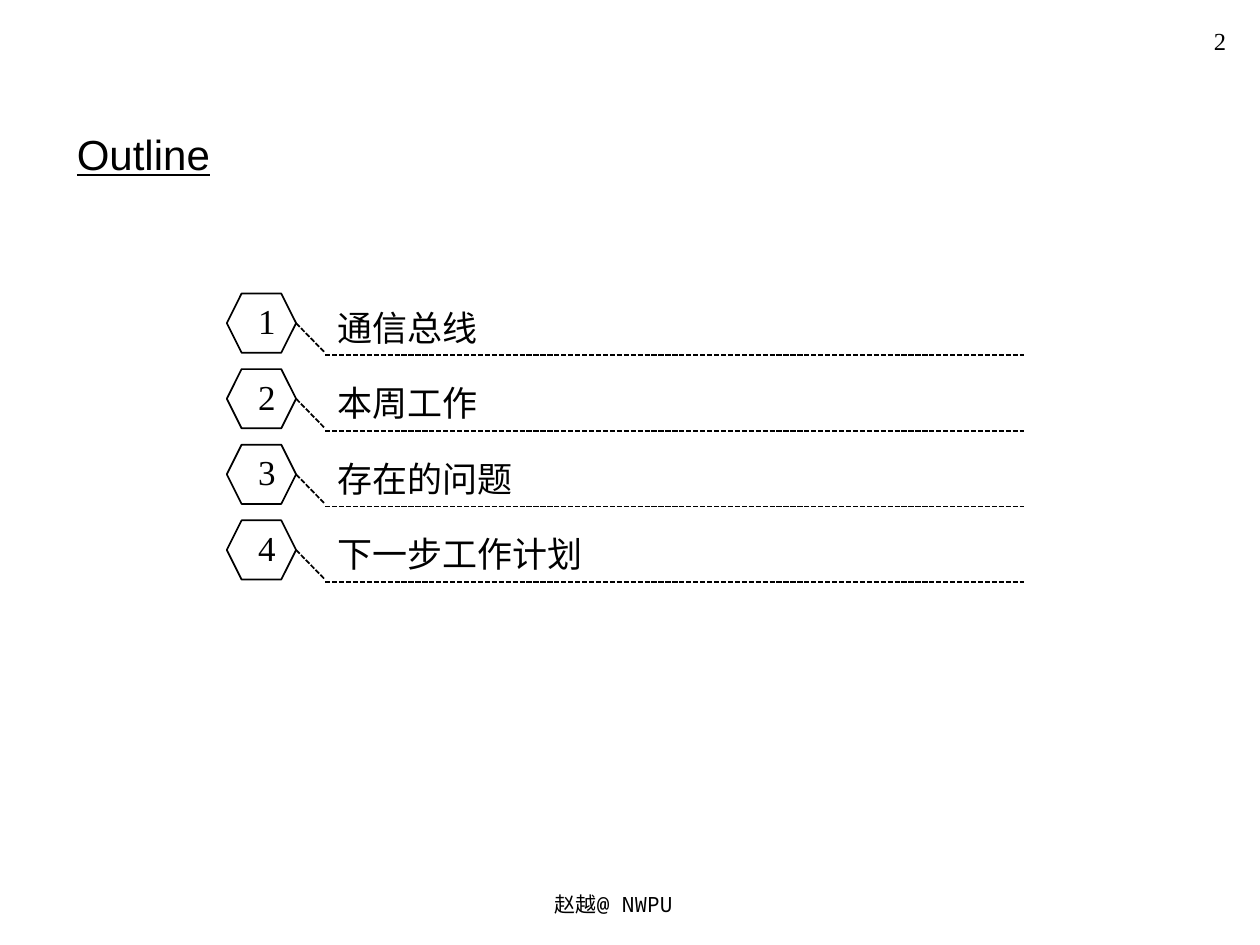
from lxml import etree
from pptx import Presentation
from pptx.dml.color import RGBColor
from pptx.enum.dml import MSO_LINE
from pptx.enum.shapes import MSO_CONNECTOR, MSO_SHAPE
from pptx.enum.text import MSO_ANCHOR, MSO_AUTO_SIZE, PP_ALIGN
from pptx.oxml.ns import qn
from pptx.util import Inches, Pt

# Content
TITLE = "Outline"
FOOTER = "赵越@ NWPU "
PAGE = "2"
MONO, SANS, SERIF = "Noto Sans Mono", "Noto Sans CJK SC", "Times New Roman"
TOPICS = [
    ("通信总线", MONO),
    ("本周工作", MONO),
    ("存在的问题", SANS),
    ("下一步工作计划", SANS),
]
COLORS = {"ink": "000000", "paper": "FFFFFF"}
INK = RGBColor.from_string(COLORS["ink"])

# Layout in inches
TOP, PITCH = 2.33, 0.6
HEX_LEFT, HEX_W, HEX_H = 1.8, 0.55, 0.47
RULE_LEFT, RULE_RIGHT = 2.58, 8.13


def style(shape, text, font, size, align=PP_ALIGN.LEFT):
    frame = shape.text_frame
    frame.text = text
    frame.word_wrap = True
    para = frame.paragraphs[0]
    para.alignment = align
    run = para.runs[0]
    run.font.name = font
    run.font.size = Pt(size)
    run.font.color.rgb = INK
    east = etree.SubElement(run.font._element, qn("a:ea"))
    east.set("typeface", SANS)
    return run


def label(box, text, font, size, align=PP_ALIGN.LEFT, grow=True):
    shape = slide.shapes.add_textbox(*map(Inches, box))
    style(shape, text, font, size, align)
    if grow:
        shape.text_frame.auto_size = MSO_AUTO_SIZE.SHAPE_TO_FIT_TEXT


def dash(*ends):
    line = slide.shapes.add_connector(MSO_CONNECTOR.STRAIGHT, *map(Inches, ends))
    line.line.color.rgb = INK
    line.line.width = Pt(1)
    line.line.dash_style = MSO_LINE.SQUARE_DOT
    etree.SubElement(line._element.spPr, qn("a:effectLst"))


deck = Presentation()
deck.slide_width, deck.slide_height = Inches(10), Inches(7.5)
slide = deck.slides.add_slide(deck.slide_layouts[5])
slide.background.fill.solid()
slide.background.fill.fore_color.rgb = RGBColor.from_string(COLORS["paper"])

# Footer and page number
label((2.42, 7.03, 5, 0.3), FOOTER, MONO, 12, PP_ALIGN.CENTER)
label((8.91, 0.16, 0.92, 0.44), PAGE, SERIF, 14, PP_ALIGN.RIGHT, grow=False)

# Title
title = slide.shapes.title
title.left, title.top = Inches(0.51), Inches(0.84)
title.width, title.height = Inches(8.9), Inches(0.63)
style(title, TITLE, "Arial", 24).font.underline = True
title.text_frame.vertical_anchor = MSO_ANCHOR.BOTTOM
title.text_frame.auto_size = MSO_AUTO_SIZE.NONE

# Numbered topics, each with a bent dashed rule
for i, (topic, font) in enumerate(TOPICS):
    top = TOP + i * PITCH
    cell = slide.shapes.add_shape(
        MSO_SHAPE.HEXAGON, *map(Inches, (HEX_LEFT, top, HEX_W, HEX_H)))
    cell.shadow.inherit = False
    cell.fill.background()
    cell.line.color.rgb = INK
    cell.line.width = Pt(1)

    label((1.95, top, 0.23, 0.44), str(i + 1), SERIF, 20, PP_ALIGN.CENTER)
    label((RULE_LEFT, top + 0.05, RULE_RIGHT - RULE_LEFT, 0.44), topic, font, 20)
    dash(HEX_LEFT + HEX_W, top + HEX_H / 2, RULE_LEFT, top + HEX_H)
    dash(RULE_LEFT, top + 0.49, RULE_RIGHT, top + 0.49)

deck.save("out.pptx")
